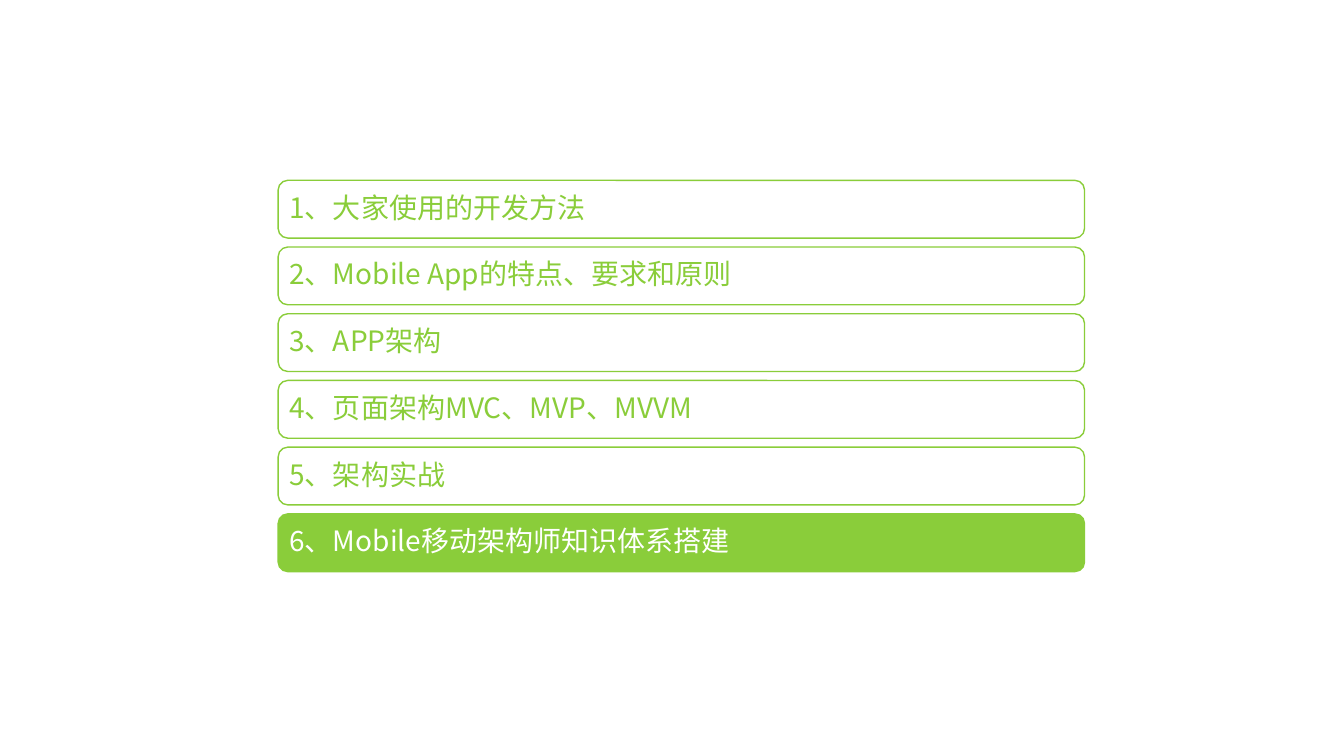
from lxml import etree
from pptx import Presentation
from pptx.dml.color import RGBColor
from pptx.enum import shapes, text
from pptx.oxml import ns
from pptx.util import Pt

GREEN = RGBColor(0x8A, 0xCD, 0x3A)
WHITE = RGBColor(0xFF, 0xFF, 0xFF)
FACE = "Noto Sans CJK SC"
TOPICS = [
    "1、大家使用的开发方法",
    "2、Mobile App的特点、要求和原则",
    "3、APP架构",
    "4、页面架构MVC、MVP、MVVM",
    "5、架构实战",
    "6、Mobile移动架构师知识体系搭建",
]
ACTIVE = 5
FRAME = dict(word_wrap=True, vertical_anchor=text.MSO_ANCHOR.MIDDLE,
             margin_left=Pt(6), margin_right=Pt(6),
             margin_top=Pt(6), margin_bottom=Pt(6))
PARA = dict(alignment=text.PP_ALIGN.LEFT, line_spacing=0.9, space_after=Pt(7))
FONT = dict(name=FACE, size=Pt(20))


def apply(target, values):
    """Set each named value on the target."""
    for name, value in values.items():
        setattr(target, name, value)


def draw_bar(slide, box, topic, fill, ink):
    """Draw one agenda bar with its topic inside the box."""
    bar = slide.shapes.add_shape(
        shapes.MSO_SHAPE.ROUNDED_RECTANGLE, *map(Pt, box))
    bar.shadow.inherit = False
    bar.fill.solid()
    bar.fill.fore_color.rgb = fill
    bar.line.color.rgb = GREEN
    bar.line.width = Pt(1)
    frame = bar.text_frame
    apply(frame, FRAME)
    para = frame.paragraphs[0]
    apply(para, PARA)
    run = para.add_run()
    run.text = topic
    apply(run.font, FONT)
    run.font.color.rgb = ink
    etree.SubElement(run.font._element, ns.qn("a:ea"), typeface=FACE)


def draw_list(slide, box, gap):
    """Stack the agenda bars evenly in the box and fill the active one."""
    left, top, width, height = box
    step = (height + gap) / len(TOPICS)
    for i, topic in enumerate(TOPICS):
        fill, ink = (GREEN, WHITE) if i == ACTIVE else (WHITE, GREEN)
        draw_bar(slide, (left, top + i * step, width, step - gap),
                 topic, fill, ink)


def main():
    """Build the agenda slide and save it."""
    deck = Presentation()
    deck.slide_width, deck.slide_height = Pt(960), Pt(540)
    slide = deck.slides.add_slide(deck.slide_layouts[6])
    draw_list(slide, (198.7, 128.8, 576, 279.5), 6.4)
    deck.save("out.pptx")


if __name__ == "__main__":
    main()
